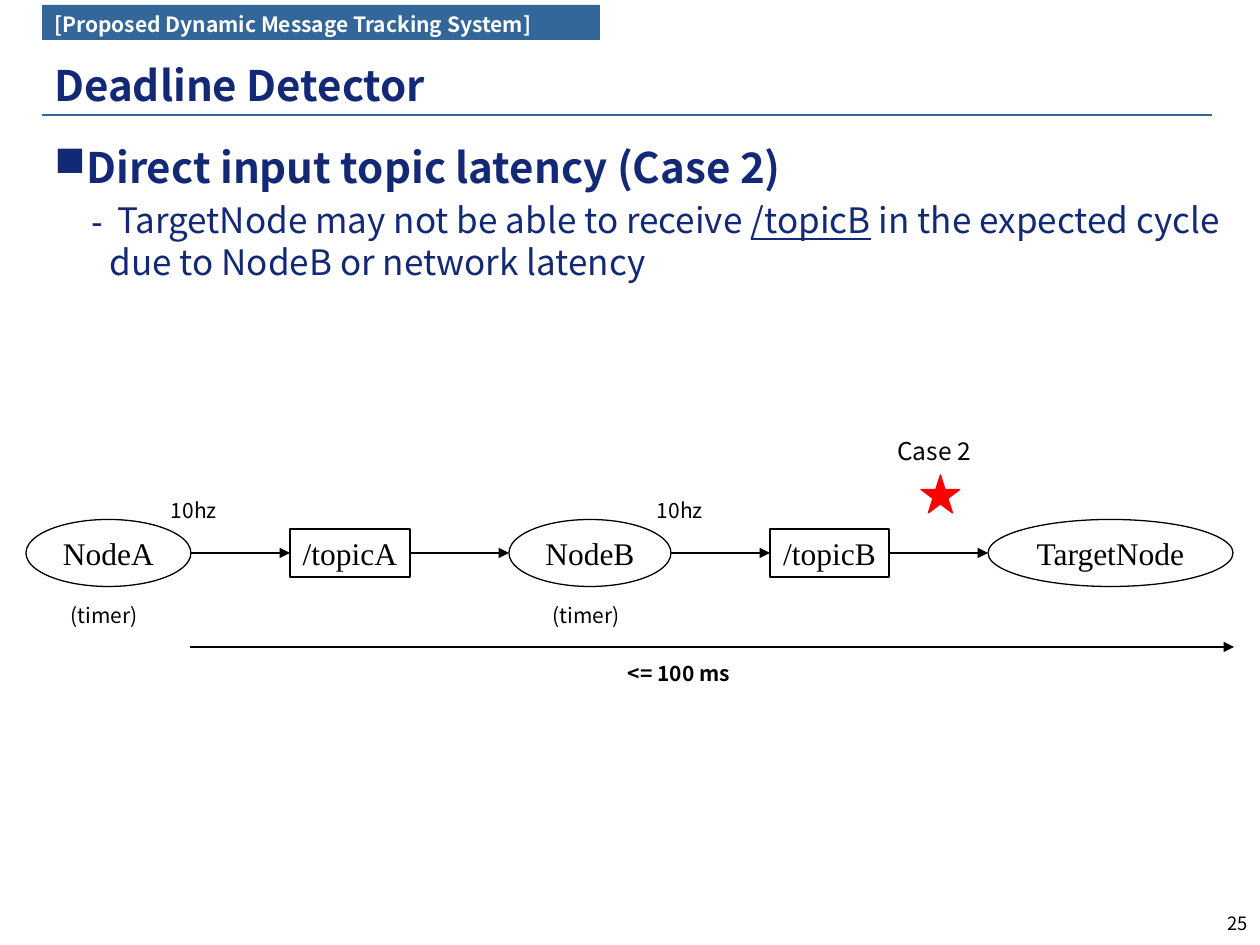
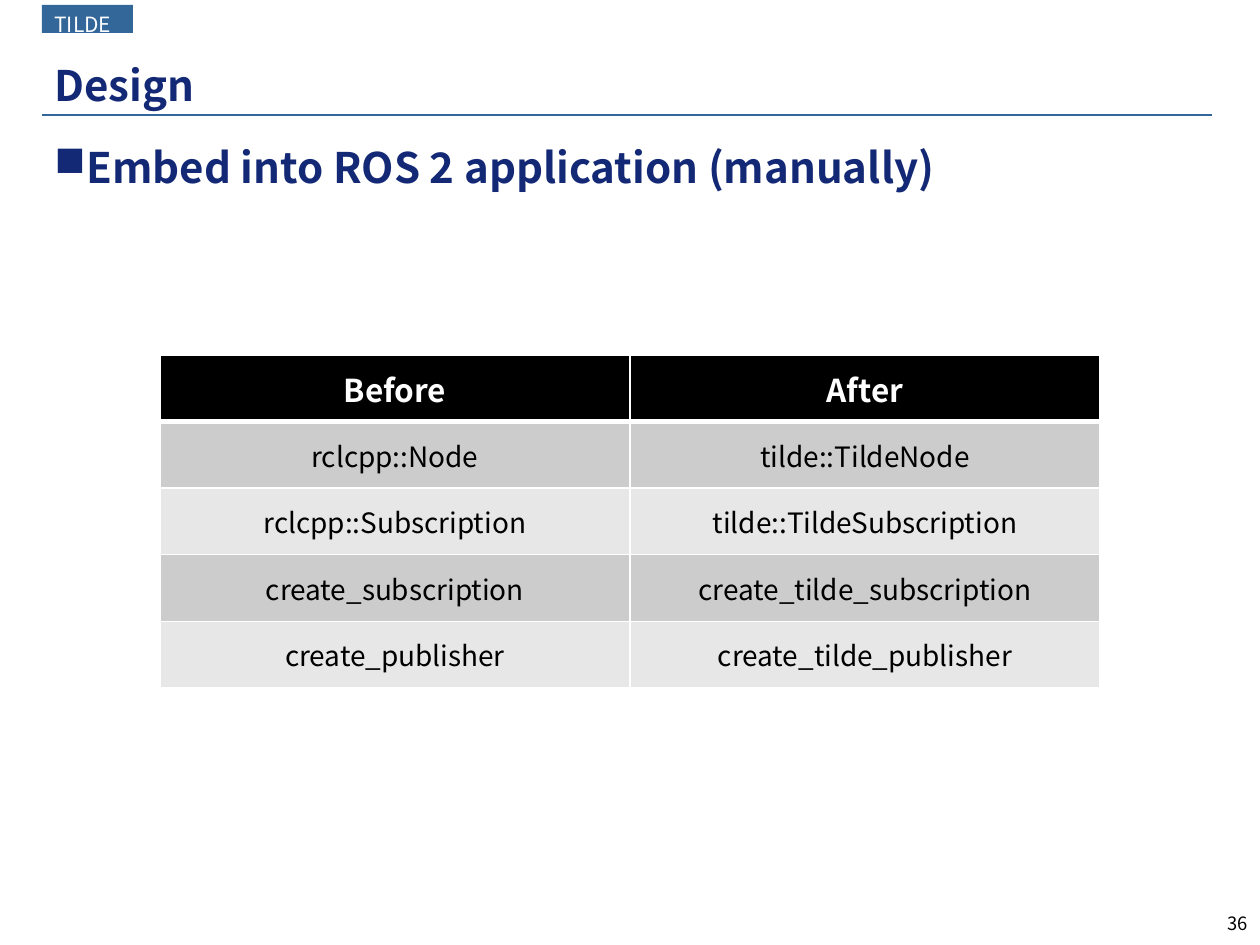
import lxml.etree
import pptx
import pptx.dml.color
import pptx.enum.shapes
import pptx.enum.text
import pptx.oxml.ns
import pptx.util

EMU_PER_PX = 914400 / 126
SANS = "Noto Sans CJK JP"
SERIF = "Times New Roman"
COLORS = {
    "navy": "142976",
    "band": "336699",
    "black": "000000",
    "white": "FFFFFF",
    "star": "FF0000",
    "row_dark": "CCCCCC",
    "row_light": "E7E7E7",
}
ALIGN = pptx.enum.text.PP_ALIGN
ANCHOR = pptx.enum.text.MSO_ANCHOR
SHAPE = pptx.enum.shapes.MSO_SHAPE

NODE_GAP = 99
NODE_MIDDLE = 553
NODES = [
    (SHAPE.OVAL, "NodeA", 165, 67),
    (SHAPE.RECTANGLE, "/topicA", 120, 48),
    (SHAPE.OVAL, "NodeB", 162, 67),
    (SHAPE.RECTANGLE, "/topicB", 119, 48),
    (SHAPE.OVAL, "TargetNode", 245, 67),
]
LABELS = [
    ("10hz", 194, 491, 12, False),
    ("10hz", 680, 491, 12, False),
    ("(timer)", 104, 596, 12, False),
    ("(timer)", 586, 596, 12, False),
    ("<= 100 ms", 679, 654, 12, True),
    ("Case 2", 934, 430, 14, False),
]
API_CHANGES = [
    ("Before", "After"),
    ("rclcpp::Node", "tilde::TildeNode"),
    ("rclcpp::Subscription", "tilde::TildeSubscription"),
    ("create_subscription", "create_tilde_subscription"),
    ("create_publisher", "create_tilde_publisher"),
]


def px(*lengths):
    return [pptx.util.Emu(round(length * EMU_PER_PX)) for length in lengths]


def rgb(color):
    return pptx.dml.color.RGBColor.from_string(COLORS[color])


def add_element(parent, tag, **attributes):
    return lxml.etree.SubElement(parent, pptx.oxml.ns.qn(tag), attributes)


def style_paragraph(paragraph, size, color, bold=False, name=SANS, align=ALIGN.LEFT):
    paragraph.alignment = align
    for font in [paragraph.font, *(run.font for run in paragraph.runs)]:
        font.name = name
        font.size = pptx.util.Pt(size)
        font.bold = bold
        font.color.rgb = rgb(color)


def add_text(slide, text, box, size, color, bold=False, align=ALIGN.LEFT,
             anchor=ANCHOR.TOP, wrap=True):
    frame = slide.shapes.add_textbox(*px(*box)).text_frame
    frame.word_wrap = wrap
    frame.vertical_anchor = anchor
    frame.text = text
    style_paragraph(frame.paragraphs[0], size, color, bold, align=align)


def add_shape(slide, kind, box, fill, line=None):
    shape = slide.shapes.add_shape(kind, *px(*box))
    shape.shadow.inherit = False
    shape.fill.solid()
    shape.fill.fore_color.rgb = rgb(fill)
    if line:
        shape.line.color.rgb = rgb(line)
        shape.line.width = pptx.util.Pt(0.75)
    else:
        shape.line.fill.background()
    return shape


def add_line(slide, start, end, y, color, width, arrow=False):
    connector = slide.shapes.add_connector(
        pptx.enum.shapes.MSO_CONNECTOR.STRAIGHT, *px(start, y, end, y))
    connector.line.color.rgb = rgb(color)
    connector.line.width = pptx.util.Pt(width)
    if arrow:
        add_element(connector.line._get_or_add_ln(), "a:tailEnd", type="triangle")
    add_element(connector._element.spPr, "a:effectLst")


def set_bullet(paragraph, character, font, margin, hanging):
    properties = paragraph._p.get_or_add_pPr()
    margin, hanging = px(margin, hanging)
    properties.set("marL", str(margin))
    properties.set("indent", str(-hanging))
    add_element(properties, "a:buFont", typeface=font)
    add_element(properties, "a:buChar", char=character)


def add_body(slide, heading, detail_runs=()):
    frame = slide.shapes.add_textbox(*px(42, 135, 1218, 629)).text_frame
    frame.word_wrap = True
    paragraph = frame.paragraphs[0]
    paragraph.text = heading
    set_bullet(paragraph, "n", "Wingdings", 32, 32)
    style_paragraph(paragraph, 24, "navy", bold=True)
    if detail_runs:
        paragraph = frame.add_paragraph()
        paragraph.level = 1
        paragraph.space_before = pptx.util.Pt(4)
        set_bullet(paragraph, "⁃", SANS, 55, 18)
        for text, underline in detail_runs:
            run = paragraph.add_run()
            run.text = text
            run.font.underline = underline
        style_paragraph(paragraph, 20, "navy")


def add_frame(presentation, section, band_size, section_bold, title, page):
    slide = presentation.slides.add_slide(presentation.slide_layouts[6])
    add_line(slide, 42, 1212, 115, "band", 1.5)
    add_text(slide, title, (42, 53, 1071, 63), 24, "navy", True, anchor=ANCHOR.MIDDLE)
    add_text(slide, page, (1177, 906, 83, 40), 10.5, "black", align=ALIGN.RIGHT)
    band = add_shape(slide, SHAPE.RECTANGLE, (42, 5, *band_size), "band")
    band.text_frame.vertical_anchor = ANCHOR.TOP
    band.text_frame.text = section
    style_paragraph(band.text_frame.paragraphs[0], 12, "white", section_bold)
    return slide


def add_node(slide, kind, name, left, width, height):
    box = (left, NODE_MIDDLE - height / 2, width, height)
    shape = add_shape(slide, kind, box, "white", "black")
    shape.text_frame.word_wrap = False
    shape.text_frame.vertical_anchor = ANCHOR.MIDDLE
    shape.text_frame.text = name
    style_paragraph(shape.text_frame.paragraphs[0], 18, "black", name=SERIF,
                    align=ALIGN.CENTER)


def add_message_flow(slide):
    left = 26
    for index, (kind, name, width, height) in enumerate(NODES):
        if index:
            add_line(slide, left - NODE_GAP, left, NODE_MIDDLE, "black", 0.75, arrow=True)
        add_node(slide, kind, name, left, width, height)
        left += width + NODE_GAP
    add_line(slide, 190, 1234, 647, "black", 1.5, arrow=True)
    add_shape(slide, SHAPE.STAR_5_POINT, (921, 475, 39, 38), "star", "star")
    for text, center, top, size, bold in LABELS:
        add_text(slide, text, (center - 75, top, 150, 38), size, "black", bold,
                 align=ALIGN.CENTER, wrap=False)


def set_cell_borders(cell, bottom_width):
    properties = cell._tc.get_or_add_tcPr()
    widths = {"a:lnL": 1, "a:lnR": 1, "a:lnT": 1, "a:lnB": bottom_width}
    for tag, width in widths.items():
        border = add_element(properties, tag, w=str(pptx.util.Pt(width)))
        fill = add_element(border, "a:solidFill")
        add_element(fill, "a:srgbClr", val=COLORS["white"])


def add_api_table(slide):
    table = slide.shapes.add_table(
        len(API_CHANGES), 2, *px(160, 355, 940, 333)).table
    table.horz_banding = False
    for row, names in enumerate(API_CHANGES):
        header = row == 0
        fill = "black" if header else ("row_light", "row_dark")[row % 2]
        for column, name in enumerate(names):
            cell = table.cell(row, column)
            set_cell_borders(cell, 3 if header else 1)
            cell.fill.solid()
            cell.fill.fore_color.rgb = rgb(fill)
            cell.vertical_anchor = ANCHOR.MIDDLE
            cell.text = name
            style_paragraph(cell.text_frame.paragraphs[0], 18 if header else 16,
                            "white" if header else "black", header, align=ALIGN.CENTER)


def main():
    presentation = pptx.Presentation()
    presentation.slide_width, presentation.slide_height = px(1260, 945)

    slide = add_frame(presentation, "[Proposed Dynamic Message Tracking System]",
                      (558, 35), True, "Deadline Detector", "25")
    add_body(slide, "Direct input topic latency (Case 2)", [
        (" TargetNode may not be able to receive ", False),
        ("/topicB", True),
        (" in the expected cycle due to NodeB or network latency", False),
    ])
    add_message_flow(slide)

    slide = add_frame(presentation, "TILDE", (91, 28), False, "Design", "36")
    add_body(slide, "Embed into ROS 2 application (manually)")
    add_api_table(slide)

    presentation.save("out.pptx")


if __name__ == "__main__":
    main()
